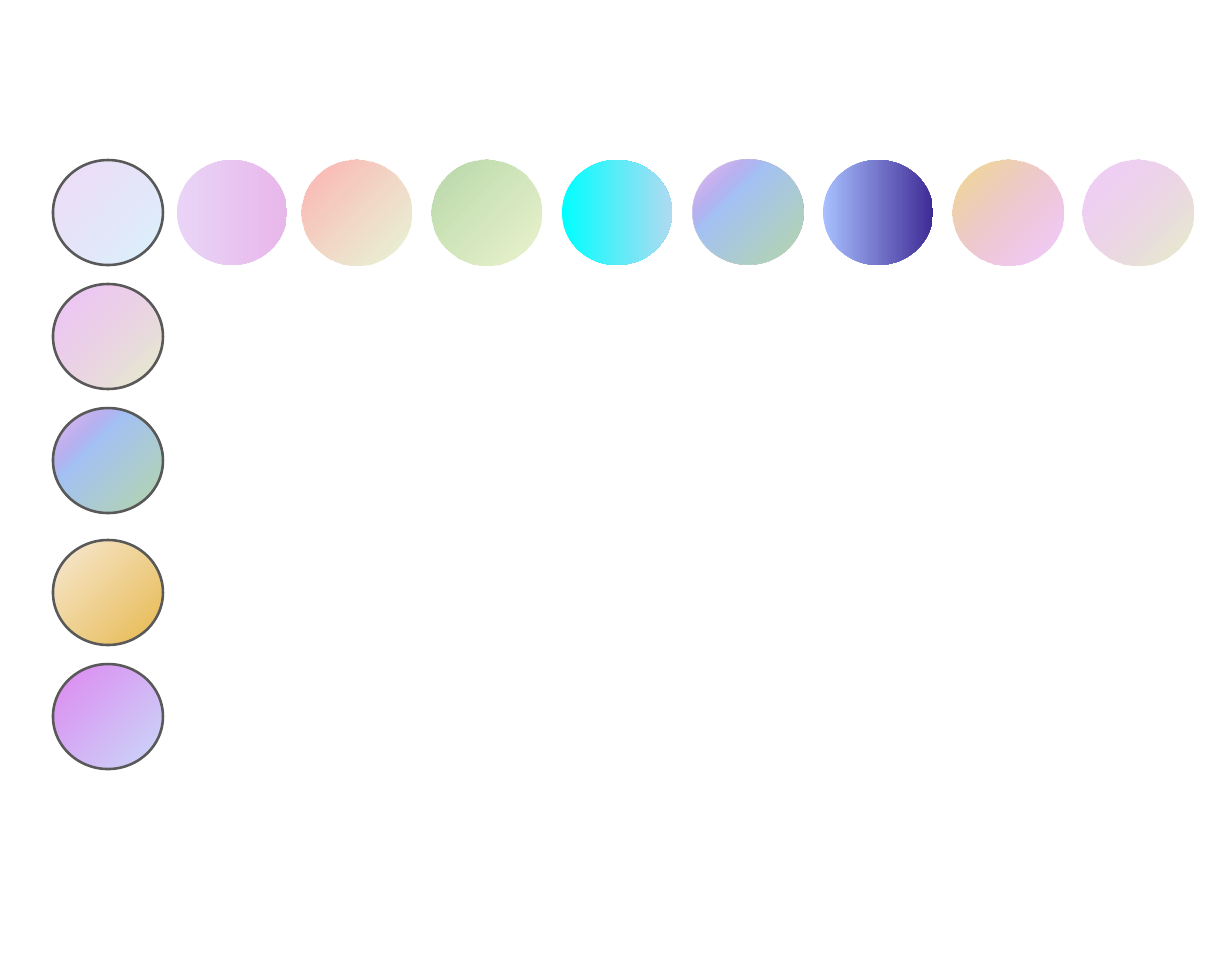
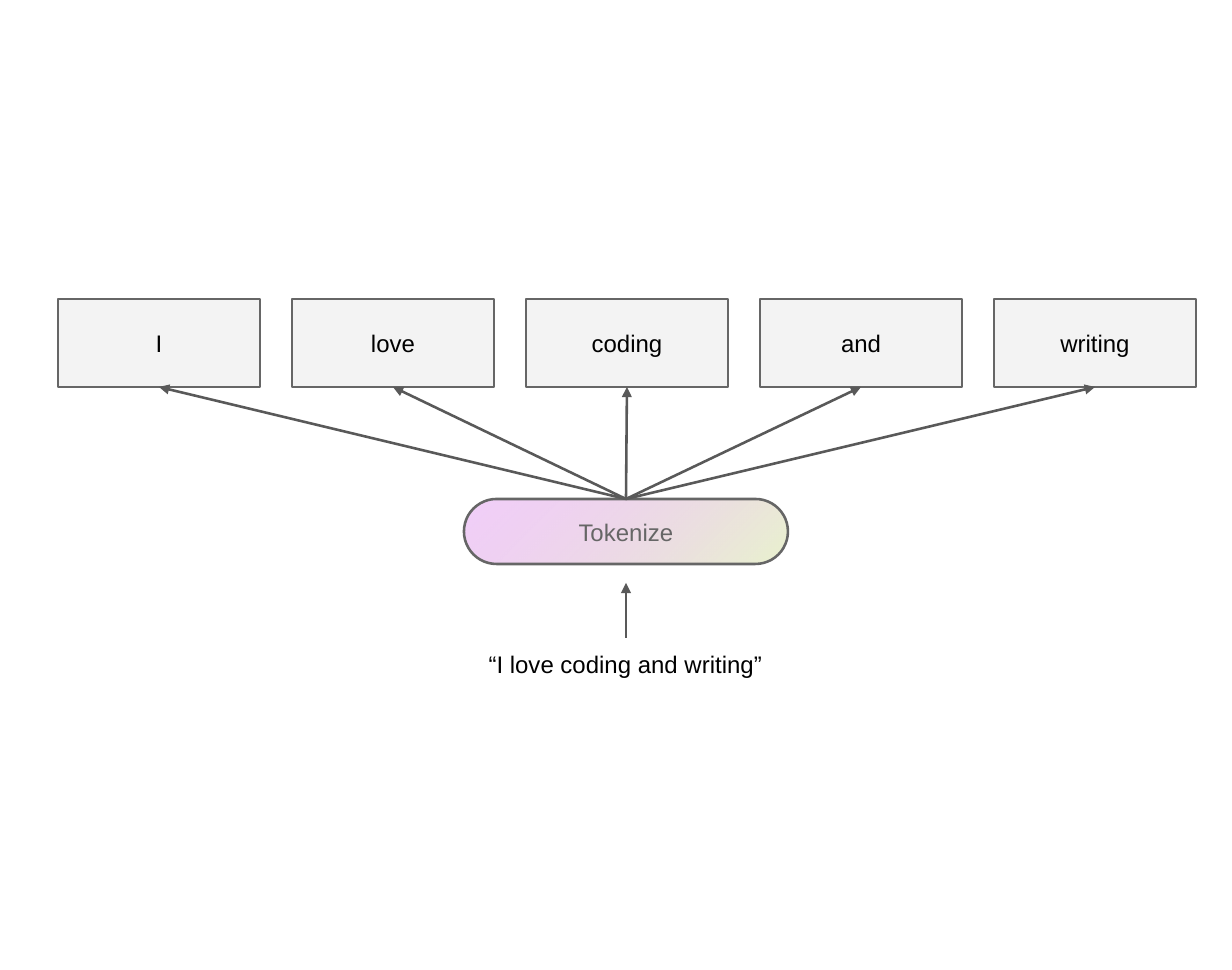
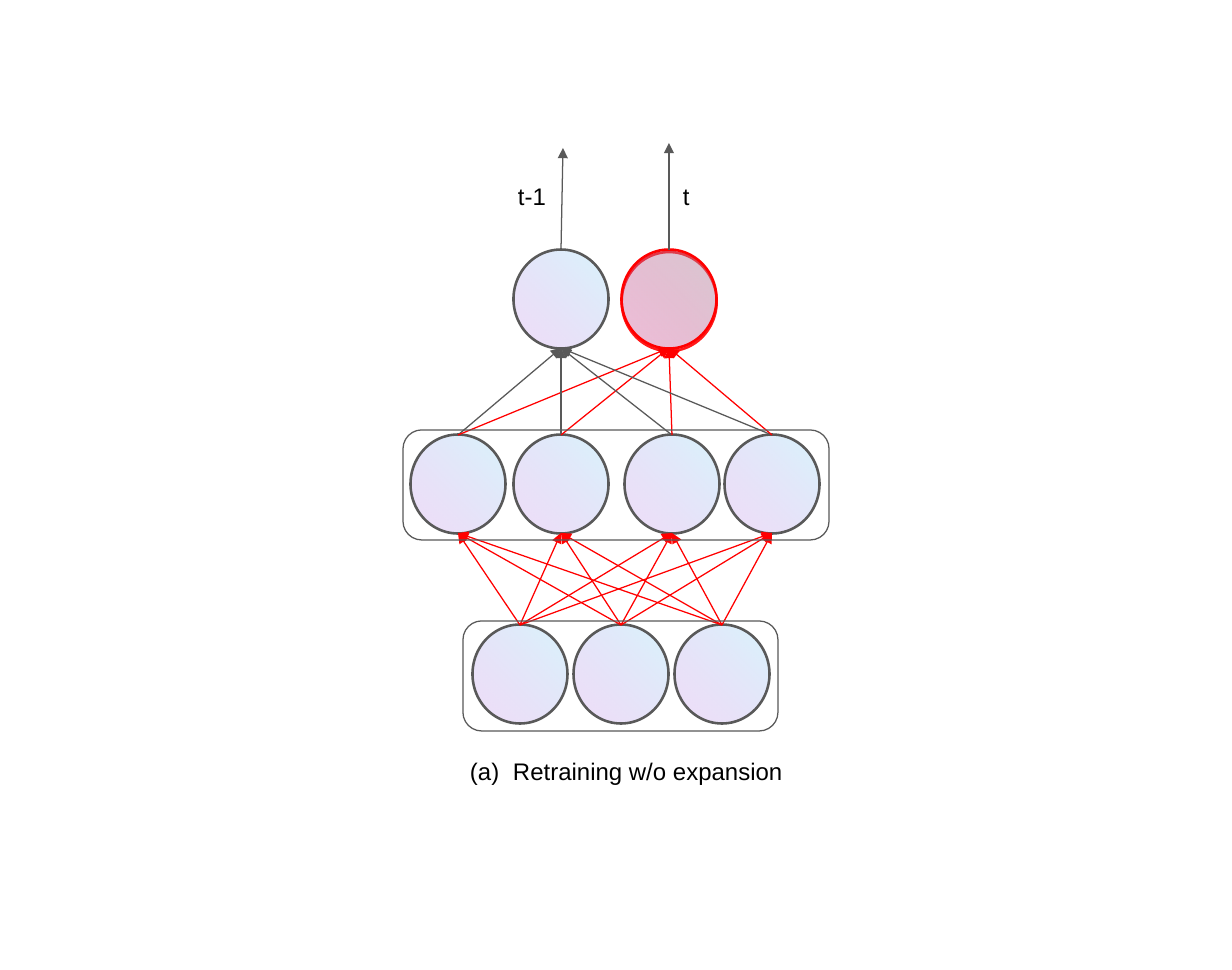
import itertools

import lxml.etree
import pptx
import pptx.dml.color
import pptx.enum.shapes
import pptx.enum.text
import pptx.oxml.ns
import pptx.util

PIXEL = 914400 / 123.2
SLIDE_SIZE = (1232, 970)
GRAY, EDGE, RED, BLACK, PALE = "595959", "666666", "FF0000", "000000", "F3F3F3"
FONT, TEXT_SIZE, INSET = "Arial", 14, 12
THICK, THIN = 1.5, 0.75

MIST = (225, [(0, "69D4F4", 26), (100, "9F39D5", 17)])
ORCHID = (0, [(0, "E9D4F7", 100), (100, "E8B7EA", 100)])
PEACH = (225, [(0, "D8EDBA", 58), (100, "FE9696", 74)])
MEADOW = (225, [(0, "E0EDBA", 71), (100, "B6D7A8", 100)])
AQUA = (0, [(0, "00FFFF", 100), (100, "B0DAF1", 100)])
LAGOON = (225, [(0, "B6D7A8", 100), (64, "A4C2F4", 100), (100, "9F39D5", 17)])
INDIGO = (0, [(0, "A8C0FF", 100), (100, "3F2B96", 100)])
SUNSET = (225, [(0, "DE87F1", 40), (100, "F1DD87", 100)])
BLOSSOM = (225, [(0, "E0EDBA", 79), (100, "DE87F1", 40)])
DEEP_BLOSSOM = (225, [(0, "E0EDBA", 79), (100, "DE87F1", 48)])
HONEY = (45, [(0, "F7E9D4", 100), (100, "E6B94E", 100)])
VIOLET = (225, [(0, "C9DAF8", 100), (100, "DE87F1", 100)])
PILL_BLEND = (225, [(0, "E0EDBA", 71), (100, "DE87F1", 40)])

SWATCH_SIZE = (110, 105)
FIRST_SWATCH = (53, 160)
ROW_SWATCHES = [ORCHID, PEACH, MEADOW, AQUA, LAGOON, INDIGO, SUNSET, BLOSSOM]
ROW_LEFTS = [177] + [302 + round(130.2 * i) for i in range(7)]
COLUMN_SWATCHES = [DEEP_BLOSSOM, LAGOON, HONEY, VIOLET]
COLUMN_TOPS = [284, 408, 540, 664]

SENTENCE = "“I love coding and writing”"
TOKENS = ["I", "love", "coding", "and", "writing"]
TOKEN_LEFT, TOKEN_TOP, TOKEN_STEP = 58, 299, 234
TOKEN_SIZE = (202, 88)
PILL_BOX = (464, 499, 324, 65)
SENTENCE_BOX = (468, 638, 315, 57)
SENTENCE_ARROW_END = 583

NEURON_SIZE = (99, 95)
REACH = 49
INPUT_XS, INPUT_Y = [520, 621, 722], 674
HIDDEN_XS, HIDDEN_Y = [458, 561, 672, 772], 484
OUTPUT_Y = 299
OUTPUTS = [
    {"x": 561, "color": GRAY, "tip": (563, 148), "label": "t-1", "label_box": (506, 170, 75, 54)},
    {"x": 669, "color": RED, "tip": (669, 143), "label": "t", "label_box": (671, 170, 75, 83)},
]
LAYER_FRAMES = [(403, 430, 426, 110), (463, 621, 315, 110)]
CAPTION, CAPTION_BOX = "Retraining w/o expansion", (439, 745, 365, 54)

Kind = pptx.enum.shapes.MSO_SHAPE
Align = pptx.enum.text.PP_ALIGN
Anchor = pptx.enum.text.MSO_ANCHOR
qn = pptx.oxml.ns.qn


def px(length):
    return pptx.util.Emu(round(length * PIXEL))


def rgb(color):
    return pptx.dml.color.RGBColor.from_string(color)


def child(parent, tag, **attributes):
    return lxml.etree.SubElement(parent, qn(tag), {k: str(v) for k, v in attributes.items()})


def paint_gradient(shape, angle, stops):
    shape.fill.background()
    properties = shape._element.spPr
    gradient = lxml.etree.Element(qn("a:gradFill"), rotWithShape="1")
    stop_list = child(gradient, "a:gsLst")
    for position, color, opacity in stops:
        stop = child(stop_list, "a:gs", pos=position * 1000)
        tint = child(stop, "a:srgbClr", val=color)
        if opacity < 100:
            child(tint, "a:alpha", val=opacity * 1000)
    child(gradient, "a:lin", ang=angle * 60000, scaled=0)
    properties.replace(properties.find(qn("a:noFill")), gradient)


def add_block(shapes, kind, box, fill=None, line=None, width=THICK, corner=None):
    block = shapes.add_shape(kind, *map(px, box))
    block.shadow.inherit = False
    if corner is not None:
        block.adjustments[0] = corner
    if fill is None:
        block.fill.background()
    elif isinstance(fill, str):
        block.fill.solid()
        block.fill.fore_color.rgb = rgb(fill)
    else:
        paint_gradient(block, *fill)
    if line:
        block.line.color.rgb = rgb(line)
        block.line.width = pptx.util.Pt(width)
    else:
        block.line.fill.background()
    return block


def write(shape, text, color=BLACK, align=Align.LEFT, anchor=Anchor.TOP):
    frame = shape.text_frame
    frame.word_wrap = True
    frame.vertical_anchor = anchor
    frame.margin_left = frame.margin_right = px(INSET)
    frame.margin_top = frame.margin_bottom = px(INSET)
    paragraph = frame.paragraphs[0]
    paragraph.alignment = align
    run = paragraph.add_run()
    run.text = text
    run.font.name = FONT
    run.font.size = pptx.util.Pt(TEXT_SIZE)
    run.font.color.rgb = rgb(color)
    return paragraph


def add_label(shapes, text, box, align=Align.LEFT, grow=True):
    label = shapes.add_textbox(*map(px, box))
    paragraph = write(label, text, align=align)
    if grow:
        label.text_frame.auto_size = pptx.enum.text.MSO_AUTO_SIZE.SHAPE_TO_FIT_TEXT
    return paragraph


def number_with_letter(paragraph):
    properties = paragraph._p.get_or_add_pPr()
    properties.set("marL", str(px(62)))
    properties.set("indent", str(px(-43)))
    child(child(properties, "a:buClr"), "a:srgbClr", val=BLACK)
    child(properties, "a:buFont", typeface=FONT)
    child(properties, "a:buAutoNum", type="alphaLcParenBoth")


def add_arrow(shapes, start, end, color=GRAY, width=THIN):
    arrow = shapes.add_connector(
        pptx.enum.shapes.MSO_CONNECTOR.STRAIGHT, *map(px, start + end))
    arrow.line.color.rgb = rgb(color)
    arrow.line.width = pptx.util.Pt(width)
    child(arrow.line._get_or_add_ln(), "a:tailEnd", type="triangle")
    child(arrow._element.spPr, "a:effectLst")


def add_neuron(shapes, x, y, line=GRAY):
    width, height = NEURON_SIZE
    neuron = add_block(shapes, Kind.OVAL, (x - width / 2, y - height / 2, width, height), MIST, line)
    neuron.rotation = 270
    return neuron


def add_glow(shape, color):
    effects = shape._element.spPr.find(qn("a:effectLst"))
    shadow = child(effects, "a:outerShdw", blurRad=0, dist=pptx.util.Pt(1.5),
                   dir=85 * 60000, algn="bl", rotWithShape=0)
    child(child(shadow, "a:srgbClr", val=color), "a:alpha", val=89000)


def build_swatches(shapes):
    left, top = FIRST_SWATCH
    add_block(shapes, Kind.OVAL, FIRST_SWATCH + SWATCH_SIZE, MIST, GRAY)
    for x, fill in zip(ROW_LEFTS, ROW_SWATCHES):
        add_block(shapes, Kind.OVAL, (x, top) + SWATCH_SIZE, fill)
    for y, fill in zip(COLUMN_TOPS, COLUMN_SWATCHES):
        add_block(shapes, Kind.OVAL, (left, y) + SWATCH_SIZE, fill, GRAY)


def build_tokenizer(shapes):
    pill = add_block(shapes, Kind.ROUNDED_RECTANGLE, PILL_BOX, PILL_BLEND, EDGE, corner=0.5)
    write(pill, "Tokenize", EDGE, Align.CENTER, Anchor.MIDDLE)
    center = PILL_BOX[0] + PILL_BOX[2] // 2
    width, height = TOKEN_SIZE
    lefts = [TOKEN_LEFT + TOKEN_STEP * i for i in range(len(TOKENS))]
    for left, token in zip(lefts, TOKENS):
        box = add_block(shapes, Kind.RECTANGLE, (left, TOKEN_TOP) + TOKEN_SIZE, PALE, EDGE)
        write(box, token, BLACK, Align.CENTER, Anchor.MIDDLE)
    for left in lefts:
        add_arrow(shapes, (center, PILL_BOX[1]),
                  (left + width // 2, TOKEN_TOP + height), width=THICK)
    add_label(shapes, SENTENCE, SENTENCE_BOX, Align.CENTER, grow=False)
    add_arrow(shapes, (center, SENTENCE_BOX[1]), (center, SENTENCE_ARROW_END), width=THICK)


def build_network(shapes):
    network = shapes.add_group_shape().shapes
    for xs, y in ((INPUT_XS, INPUT_Y), (HIDDEN_XS, HIDDEN_Y)):
        for x in xs:
            add_neuron(network, x, y)
    for start, end in itertools.product(INPUT_XS, HIDDEN_XS):
        add_arrow(network, (start, INPUT_Y - REACH), (end, HIDDEN_Y + REACH), RED)
    for output in OUTPUTS:
        neuron = add_neuron(network, output["x"], OUTPUT_Y, output["color"])
        if output["color"] == RED:
            add_glow(neuron, RED)
    for start, output in itertools.product(HIDDEN_XS, OUTPUTS):
        add_arrow(network, (start, HIDDEN_Y - REACH),
                  (output["x"], OUTPUT_Y + REACH), output["color"])
    for output in OUTPUTS:
        add_arrow(network, (output["x"], OUTPUT_Y - REACH), output["tip"])
    for frame in LAYER_FRAMES:
        add_block(network, Kind.ROUNDED_RECTANGLE, frame, line=GRAY, width=THIN, corner=0.17)
    number_with_letter(add_label(network, CAPTION, CAPTION_BOX))
    for output in OUTPUTS:
        add_label(network, output["label"], output["label_box"])


deck = pptx.Presentation()
deck.slide_width, deck.slide_height = map(px, SLIDE_SIZE)
for build in (build_swatches, build_tokenizer, build_network):
    build(deck.slides.add_slide(deck.slide_layouts[6]).shapes)
deck.save("out.pptx")
